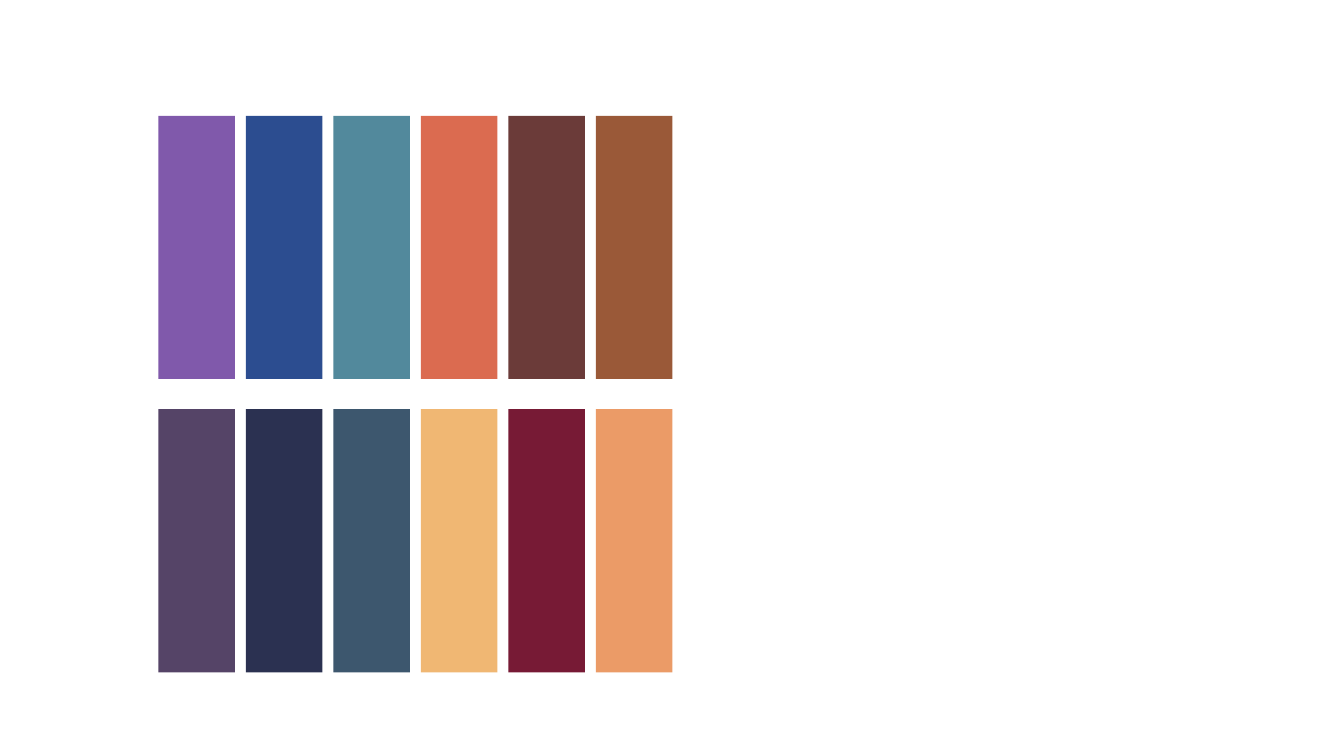
import pptx
import pptx.dml.color
import pptx.enum.shapes
import pptx.util

RGBColor = pptx.dml.color.RGBColor
Inches = pptx.util.Inches

PURPLE = RGBColor(0x80, 0x59, 0xAB)
BLUE = RGBColor(0x2C, 0x4D, 0x90)
TEAL = RGBColor(0x52, 0x89, 0x9C)
CORAL = RGBColor(0xDB, 0x6B, 0x50)
COCOA = RGBColor(0x6B, 0x3B, 0x39)
BROWN = RGBColor(0x9A, 0x59, 0x38)
PLUM = RGBColor(0x55, 0x44, 0x67)
NAVY = RGBColor(0x2B, 0x31, 0x51)
SLATE = RGBColor(0x3D, 0x57, 0x6E)
SAND = RGBColor(0xF0, 0xB7, 0x73)
BURGUNDY = RGBColor(0x77, 0x1A, 0x35)
APRICOT = RGBColor(0xEB, 0x9B, 0x67)

PALETTE = [
    [PURPLE, BLUE, TEAL, CORAL, COCOA, BROWN],
    [PLUM, NAVY, SLATE, SAND, BURGUNDY, APRICOT],
]


class PaletteSlide:
    swatch_width = 0.76
    swatch_height = 2.61
    first_left = 1.57
    last_left = 5.91
    first_top = 1.15
    row_step = 2.91

    def __init__(self, page):
        self.page = page

    def swatch(self, left, top, color):
        box = self.page.shapes.add_shape(
            pptx.enum.shapes.MSO_SHAPE.RECTANGLE,
            Inches(left), Inches(top),
            Inches(self.swatch_width), Inches(self.swatch_height),
        )
        box.shadow.inherit = False
        box.fill.solid()
        box.fill.fore_color.rgb = color
        box.line.fill.background()

    def swatch_row(self, top, colors):
        step = (self.last_left - self.first_left) / (len(colors) - 1)
        for column, color in enumerate(colors):
            self.swatch(self.first_left + column * step, top, color)

    def palette(self, rows):
        for row, colors in enumerate(rows):
            self.swatch_row(self.first_top + row * self.row_step, colors)


def main():
    deck = pptx.Presentation()
    deck.slide_width = Inches(13.33)
    deck.slide_height = Inches(7.5)
    page = deck.slides.add_slide(deck.slide_layouts[6])
    PaletteSlide(page).palette(PALETTE)
    deck.save("out.pptx")


if __name__ == "__main__":
    main()
